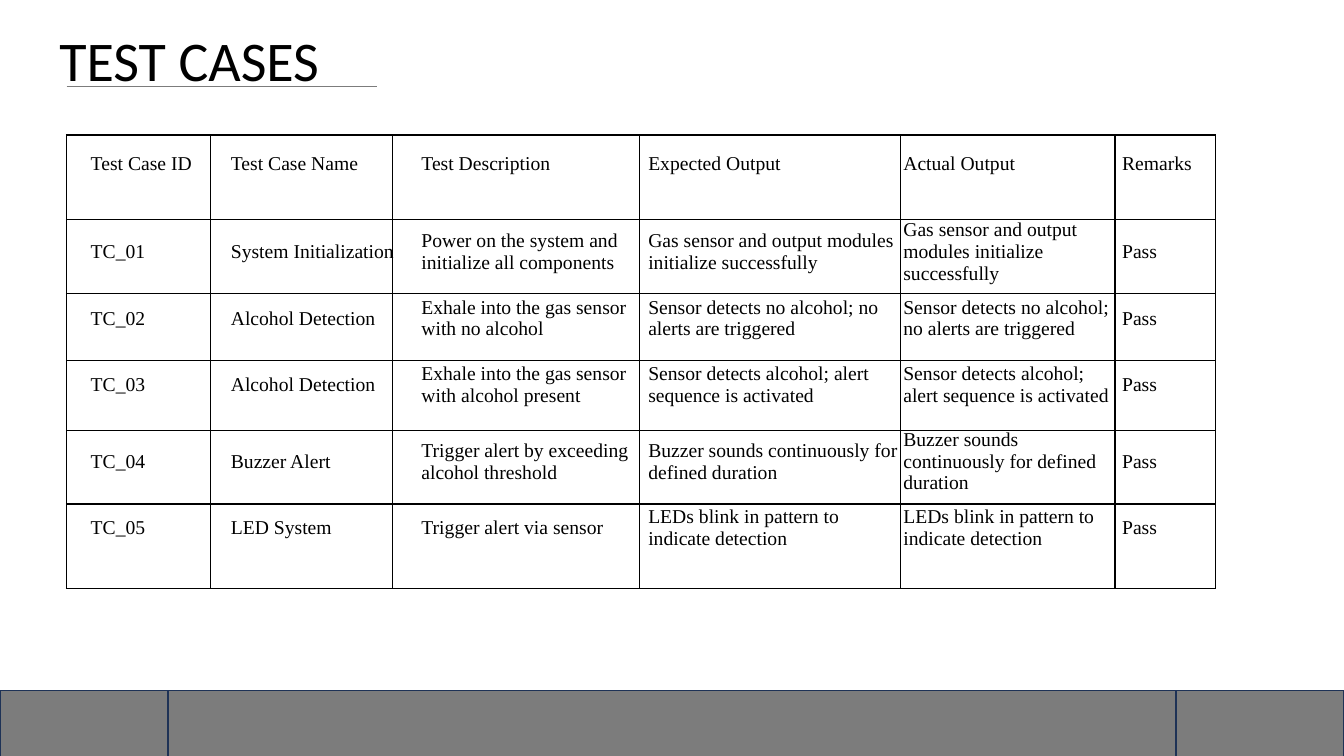
from dataclasses import dataclass

from lxml import etree
from pptx import Presentation
from pptx.dml.color import RGBColor
from pptx.enum.shapes import MSO_CONNECTOR, MSO_SHAPE
from pptx.enum.text import MSO_ANCHOR
from pptx.oxml.ns import qn
from pptx.util import Inches, Pt

LINE = MSO_CONNECTOR.STRAIGHT
BAR = MSO_SHAPE.FLOWCHART_PREDEFINED_PROCESS
MIDDLE = MSO_ANCHOR.MIDDLE


@dataclass(frozen=True)
class Theme:
    ink: str = "000000"
    gray: str = "7C7C7C"
    navy: str = "1E3256"
    head: str = "Calibri"
    body: str = "Times New Roman"
    big: int = 40
    small: int = 14


THEME = Theme()

CASES = [
    ("Test Case ID", "Test Case Name", "Test Description",
     "Expected Output", "Actual Output", "Remarks"),
]
TESTS = [
    ("System Initialization",
     "Power on the system and initialize all components",
     "Gas sensor and output modules initialize successfully"),
    ("Alcohol Detection",
     "Exhale into the gas sensor with no alcohol",
     "Sensor detects no alcohol; no alerts are triggered"),
    ("Alcohol Detection",
     "Exhale into the gas sensor with alcohol present",
     "Sensor detects alcohol; alert sequence is activated"),
    ("Buzzer Alert",
     "Trigger alert by exceeding alcohol threshold",
     "Buzzer sounds continuously for defined duration"),
    ("LED System",
     "Trigger alert via sensor",
     "LEDs blink in pattern to indicate detection"),
]
CASES += [
    (f"TC_{num:02}", name, task, result, result, "Pass")
    for num, (name, task, result) in enumerate(TESTS, 1)
]

TEXT_COLS = [1.39, 1.89, 2.25, 2.53, 2.17, 1.73]
TEXT_ROWS = [0.98, 0.76, 0.56, 0.76, 0.76, 0.56]
GRID_COLS = [1.43, 1.8, 2.45, 2.59, 2.13, 1]
GRID_ROWS = [0.84, 0.73, 0.67, 0.69, 0.73, 0.84]


def style(para, font, size):
    for run in para.runs:
        run.font.name = font
        run.font.size = Pt(size)
        run.font.color.rgb = RGBColor.from_string(THEME.ink)


def set_edges(cell, color):
    props = cell._tc.get_or_add_tcPr()
    for side in ("lnL", "lnR", "lnT", "lnB"):
        edge = etree.SubElement(props, qn(f"a:{side}"), w=str(Pt(1)))
        if color:
            fill = etree.SubElement(edge, qn("a:solidFill"))
            etree.SubElement(fill, qn("a:srgbClr"), val=color)
        else:
            etree.SubElement(edge, qn("a:noFill"))
    cell.fill.background()


def add_grid(slide, left, top, cols, rows, edge=None):
    frame = slide.shapes.add_table(
        len(rows), len(cols), Inches(left), Inches(top),
        Inches(sum(cols)), Inches(sum(rows)))
    table = frame.table
    table.first_row = False
    table.horz_banding = False
    for col, width in zip(table.columns, cols):
        col.width = Inches(width)
    for row, height in zip(table.rows, rows):
        row.height = Inches(height)
    for cell in table.iter_cells():
        set_edges(cell, edge)
    return table


def fill_grid(table, data):
    for row, texts in zip(table.rows, data):
        for cell, text in zip(row.cells, texts):
            cell.vertical_anchor = MIDDLE
            cell.margin_left = cell.margin_right = Inches(0.01)
            cell.margin_top = cell.margin_bottom = Inches(0.01)
            para = cell.text_frame.paragraphs[0]
            para.text = text
            style(para, THEME.body, THEME.small)


def add_bar(slide):
    bar = slide.shapes.add_shape(
        BAR, Inches(0), Inches(6.85), Inches(13.33), Inches(0.67))
    bar.shadow.inherit = False
    bar.fill.solid()
    bar.fill.fore_color.rgb = RGBColor.from_string(THEME.gray)
    bar.line.color.rgb = RGBColor.from_string(THEME.navy)
    bar.line.width = Pt(1)


def add_title(slide, text):
    box = slide.shapes.add_textbox(
        Inches(0.49), Inches(0.2), Inches(5.65), Inches(0.77))
    box.text_frame.word_wrap = True
    para = box.text_frame.paragraphs[0]
    para.text = text
    style(para, THEME.head, THEME.big)


def add_rule(slide):
    rule = slide.shapes.add_connector(
        LINE, Inches(0.66), Inches(0.86), Inches(3.74), Inches(0.86))
    rule.line.color.rgb = RGBColor.from_string(THEME.gray)
    rule.line.width = Pt(0.5)
    etree.SubElement(rule._element.spPr, qn("a:effectLst"))


def main():
    deck = Presentation()
    deck.slide_width = Inches(13.33)
    deck.slide_height = Inches(7.5)
    slide = deck.slides.add_slide(deck.slide_layouts[6])
    fill_grid(add_grid(slide, 0.89, 1.14, TEXT_COLS, TEXT_ROWS), CASES)
    add_bar(slide)
    add_title(slide, "TEST CASES")
    add_rule(slide)
    add_grid(slide, 0.66, 1.34, GRID_COLS, GRID_ROWS, THEME.ink)
    deck.save("out.pptx")


if __name__ == "__main__":
    main()
